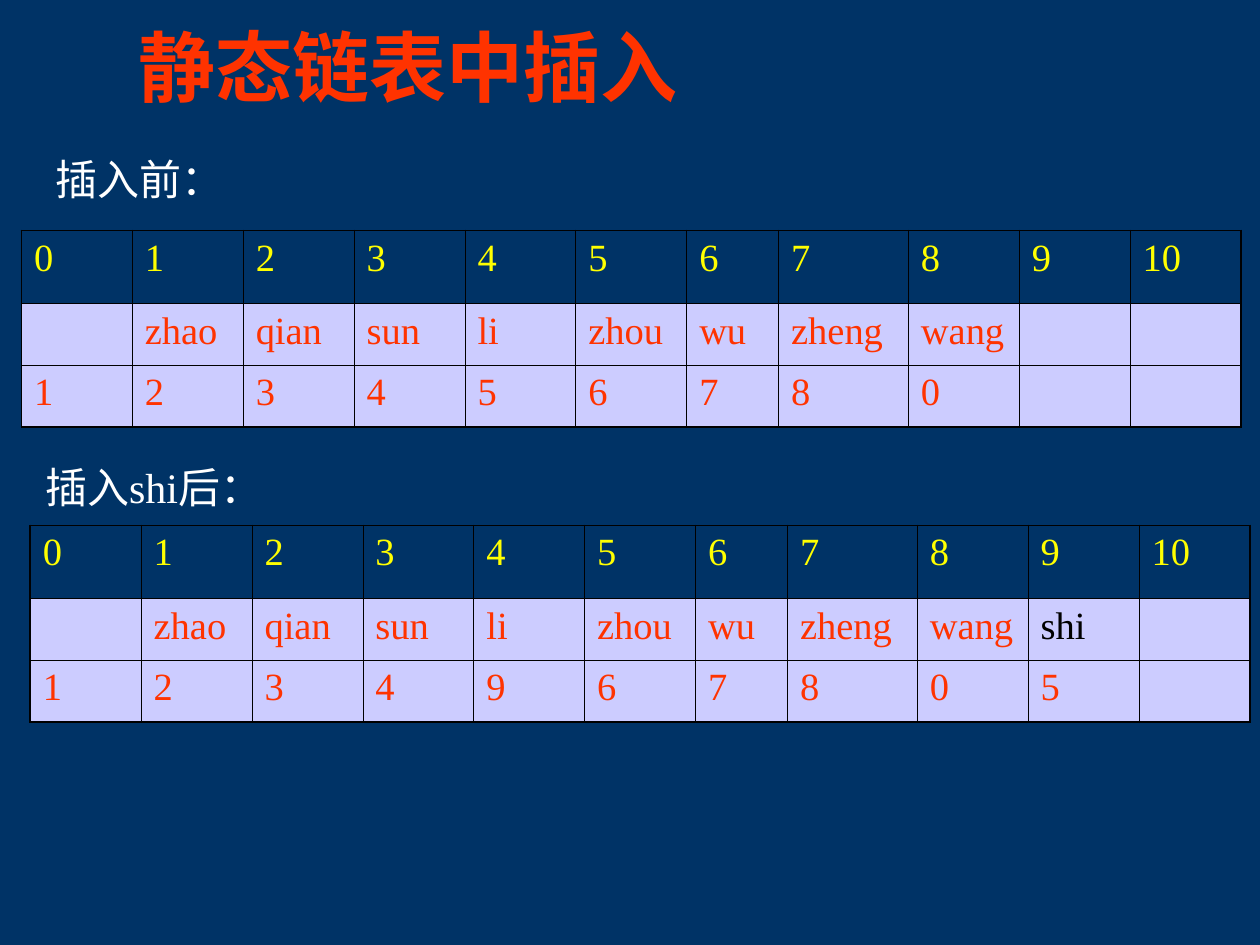
from lxml import etree
from pptx import Presentation, util as u
from pptx.dml.color import RGBColor
from pptx.enum import text
from pptx.oxml import ns

NAVY = RGBColor(0x00, 0x33, 0x66)
RED = RGBColor(0xFF, 0x33, 0x00)
YELLOW = RGBColor(0xFF, 0xFF, 0x00)
LAVENDER = RGBColor(0xCC, 0xCC, 0xFF)
WHITE = RGBColor(0xFF, 0xFF, 0xFF)
BLACK = RGBColor(0x00, 0x00, 0x00)

FONT = "Times New Roman"
THIN, THICK = 0.45, 1.08

# Grid shared by both lists: node indexes, node data and next links
COLUMNS = [0.88] * 6 + [0.73, 1.03] + [0.88] * 3
ROWS = [0.58, 0.49, 0.49]
INDEXES = [str(index) for index in range(len(COLUMNS))]
NAMES = ["", "zhao", "qian", "sun", "li", "zhou", "wu", "zheng", "wang"]


def style(paragraph, size, color, bold=False):
    font = paragraph.font
    font.name, font.size, font.bold = FONT, u.Pt(size), bold
    font.color.rgb = color


def add_label(slide, words, left, top, width, height, size, color, bold=False):
    label = slide.shapes.add_textbox(*map(u.Inches, (left, top, width, height)))
    frame = label.text_frame
    frame.word_wrap = False
    frame.text = words
    style(frame.paragraphs[0], size, color, bold)
    return frame


def add_border(cell, side, width):
    properties = cell._tc.get_or_add_tcPr()
    line = etree.SubElement(properties, ns.qn(f"a:ln{side}"), w=str(u.Pt(width)))
    fill = etree.SubElement(line, ns.qn("a:solidFill"))
    etree.SubElement(fill, ns.qn("a:srgbClr"), val=str(BLACK))


def add_list_table(slide, left, top, names, links, inserted=None):
    frame = slide.shapes.add_table(
        len(ROWS), len(COLUMNS), u.Inches(left), u.Inches(top),
        u.Inches(sum(COLUMNS)), u.Inches(sum(ROWS)))
    table = frame.table
    table.first_row = table.horz_banding = False
    for column, width in zip(table.columns, COLUMNS):
        column.width = u.Inches(width)
    for row, height in zip(table.rows, ROWS):
        row.height = u.Inches(height)

    last_row, last_column = len(ROWS) - 1, len(COLUMNS) - 1
    for r, values in enumerate((INDEXES, names, links)):
        values = values + [""] * (len(COLUMNS) - len(values))
        for c, value in enumerate(values):
            cell = table.cell(r, c)
            # Heavy outer frame, fine inner lines
            outer = {"L": c == 0, "R": c == last_column,
                     "T": r == 0, "B": r == last_row}
            for side, is_outer in outer.items():
                add_border(cell, side, THICK if is_outer else THIN)
            if r == 0:
                cell.fill.background()
                color = YELLOW
            else:
                cell.fill.solid()
                cell.fill.fore_color.rgb = LAVENDER
                color = BLACK if value and value == inserted else RED
            cell.text = value
            style(cell.text_frame.paragraphs[0], 22, color)


def main():
    deck = Presentation()
    deck.slide_width, deck.slide_height = u.Inches(10), u.Inches(7.5)
    slide = deck.slides.add_slide(deck.slide_layouts[6])
    background = slide.background.fill
    background.solid()
    background.fore_color.rgb = NAVY

    # Title
    title = add_label(slide, "静态链表中插入", 1, 0.06, 8.5, 0.92, 44, RED, bold=True)
    title.word_wrap = True
    title.vertical_anchor = text.MSO_ANCHOR.MIDDLE

    # List before the insertion
    add_label(slide, "插入前：", 0.34, 1.17, 1.53, 0.5, 24, WHITE)
    add_list_table(slide, 0.17, 1.83, NAMES, list("123456780"))

    # List after the insertion
    add_label(slide, "插入shi后：", 0.26, 3.61, 2.08, 0.5, 24, WHITE)
    add_list_table(slide, 0.24, 4.17, NAMES + ["shi"], list("1234967805"), inserted="shi")

    deck.save("out.pptx")


if __name__ == "__main__":
    main()
